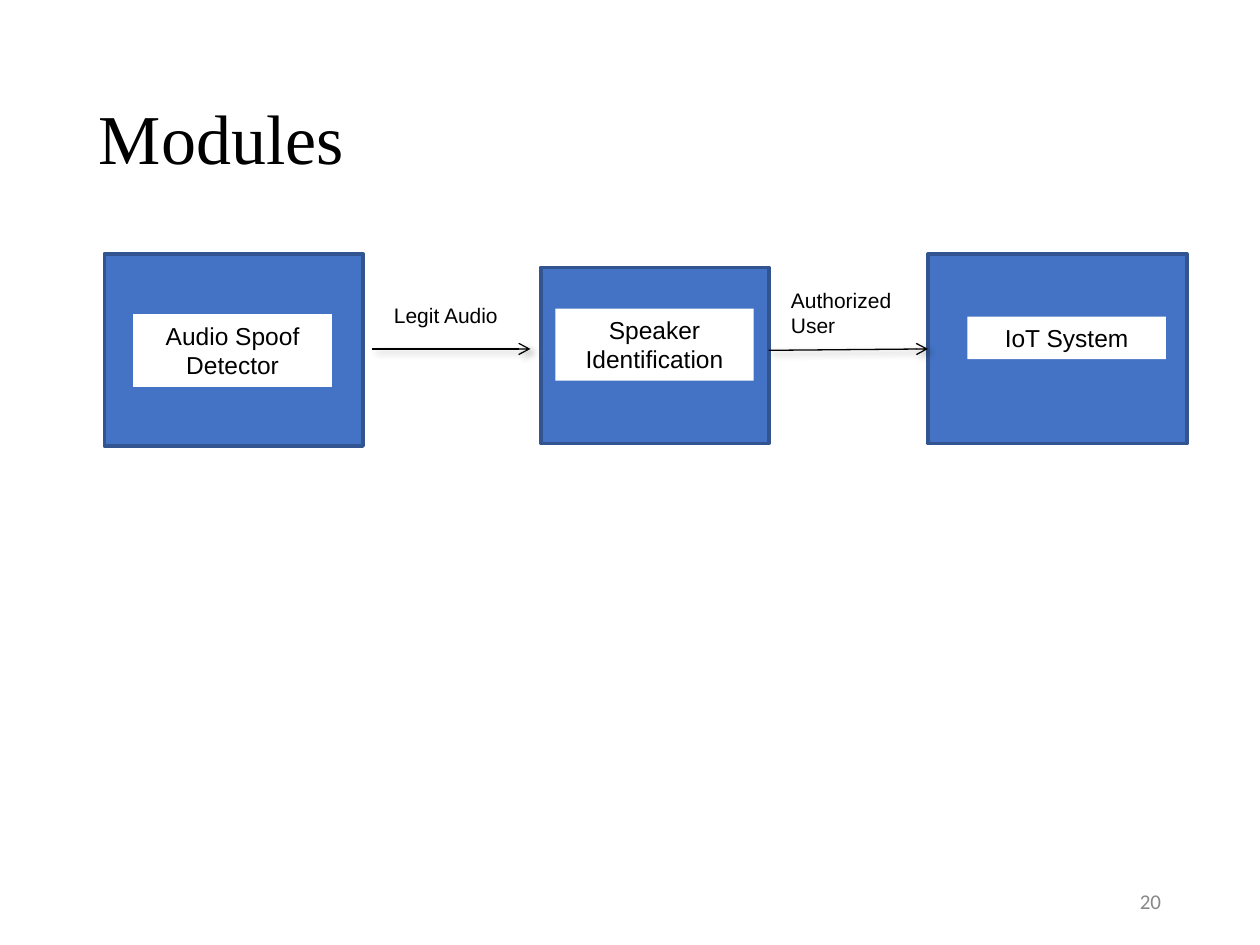
from lxml import etree
from pptx import Presentation
from pptx.dml.color import RGBColor
from pptx.enum.shapes import MSO_CONNECTOR, MSO_SHAPE
from pptx.enum.text import MSO_ANCHOR, PP_ALIGN
from pptx.oxml import parse_xml
from pptx.oxml.ns import qn
from pptx.util import Pt

RECT = MSO_SHAPE.RECTANGLE
STRAIGHT = MSO_CONNECTOR.STRAIGHT
TOP, MIDDLE = MSO_ANCHOR.TOP, MSO_ANCHOR.MIDDLE
LEFT, CENTER, RIGHT = PP_ALIGN.LEFT, PP_ALIGN.CENTER, PP_ALIGN.RIGHT

BLACK = RGBColor(0x00, 0x00, 0x00)
WHITE = RGBColor(0xFF, 0xFF, 0xFF)
BLUE = RGBColor(0x44, 0x72, 0xC4)
NAVY = RGBColor(0x32, 0x54, 0x91)
GRAY = RGBColor(0x88, 0x88, 0x88)

TITLE = ("Modules", (49.5, 28.75, 621, 104.4))
PAGE = ("20", (508.5, 500.5, 162, 28.75))
MODULES = [
    ("Audio Spoof Detector", (59.6, 145.1, 147.9, 109.8), (76.2, 179.6, 113.4, 41.2), WHITE),
    ("Speaker Identification", (309, 152.8, 130.3, 100.6), (317.3, 176.3, 113.4, 41.2), None),
    ("IoT System", (530.3, 145.1, 147.9, 108.4), (552.8, 181, 113.4, 24.2), None),
]
FLOWS = [
    ("Legit Audio", (218, 169.2, 79.5, 21.8), (212.6, 199.4, 303.1, 199.4)),
    ("Authorized User", (444.9, 160.7, 79.5, 36.3), (439.3, 200.2, 530.3, 199.4)),
]

SHADOW = (
    '<a:effectLst xmlns:a="http://schemas.openxmlformats.org/drawingml/2006/main">'
    '<a:outerShdw blurRad="50800" dist="38100" dir="2700000" algn="tl" rotWithShape="0">'
    '<a:srgbClr val="000000"><a:alpha val="40000"/></a:srgbClr>'
    '</a:outerShdw></a:effectLst>'
)


def write(sp, text, size, font="Arial", color=BLACK, align=LEFT, anchor=TOP):
    tf = sp.text_frame
    tf.word_wrap = True
    tf.vertical_anchor = anchor
    p = tf.paragraphs[0]
    p.alignment = align
    r = p.add_run()
    r.text = text
    r.font.size = Pt(size)
    r.font.name = font
    r.font.color.rgb = color
    return p


def add_text(slide, text, box, size, **style):
    sp = slide.shapes.add_textbox(*map(Pt, box))
    return write(sp, text, size, **style)


def add_rect(slide, box, fill, line=None, width=0.75):
    sp = slide.shapes.add_shape(RECT, *map(Pt, box))
    sp.shadow.inherit = False
    sp.fill.solid()
    sp.fill.fore_color.rgb = fill
    if line is None:
        sp.line.fill.background()
    else:
        sp.line.color.rgb = line
        sp.line.width = Pt(width)
    return sp


def add_arrow(slide, ends):
    cxn = slide.shapes.add_connector(STRAIGHT, *map(Pt, ends))
    cxn.line.color.rgb = BLACK
    cxn.line.width = Pt(0.75)
    etree.SubElement(cxn.line._get_or_add_ln(), qn("a:tailEnd"), type="arrow")
    cxn._element.spPr.append(parse_xml(SHADOW))


def main():
    prs = Presentation()
    prs.slide_width, prs.slide_height = Pt(720), Pt(540)
    slide = prs.slides.add_slide(prs.slide_layouts[6])

    p = add_text(slide, *TITLE, 40, font="Times New Roman", anchor=MIDDLE)
    p.line_spacing = 0.9
    add_text(slide, *PAGE, 12, font="Calibri", color=GRAY, align=RIGHT, anchor=MIDDLE)

    for name, block, label, border in MODULES:
        add_rect(slide, block, BLUE, NAVY, 2)
        write(add_rect(slide, label, WHITE, border), name, 14, align=CENTER)

    for name, label, ends in FLOWS:
        add_arrow(slide, ends)
        add_text(slide, name, label, 12)

    prs.save("out.pptx")


if __name__ == "__main__":
    main()
